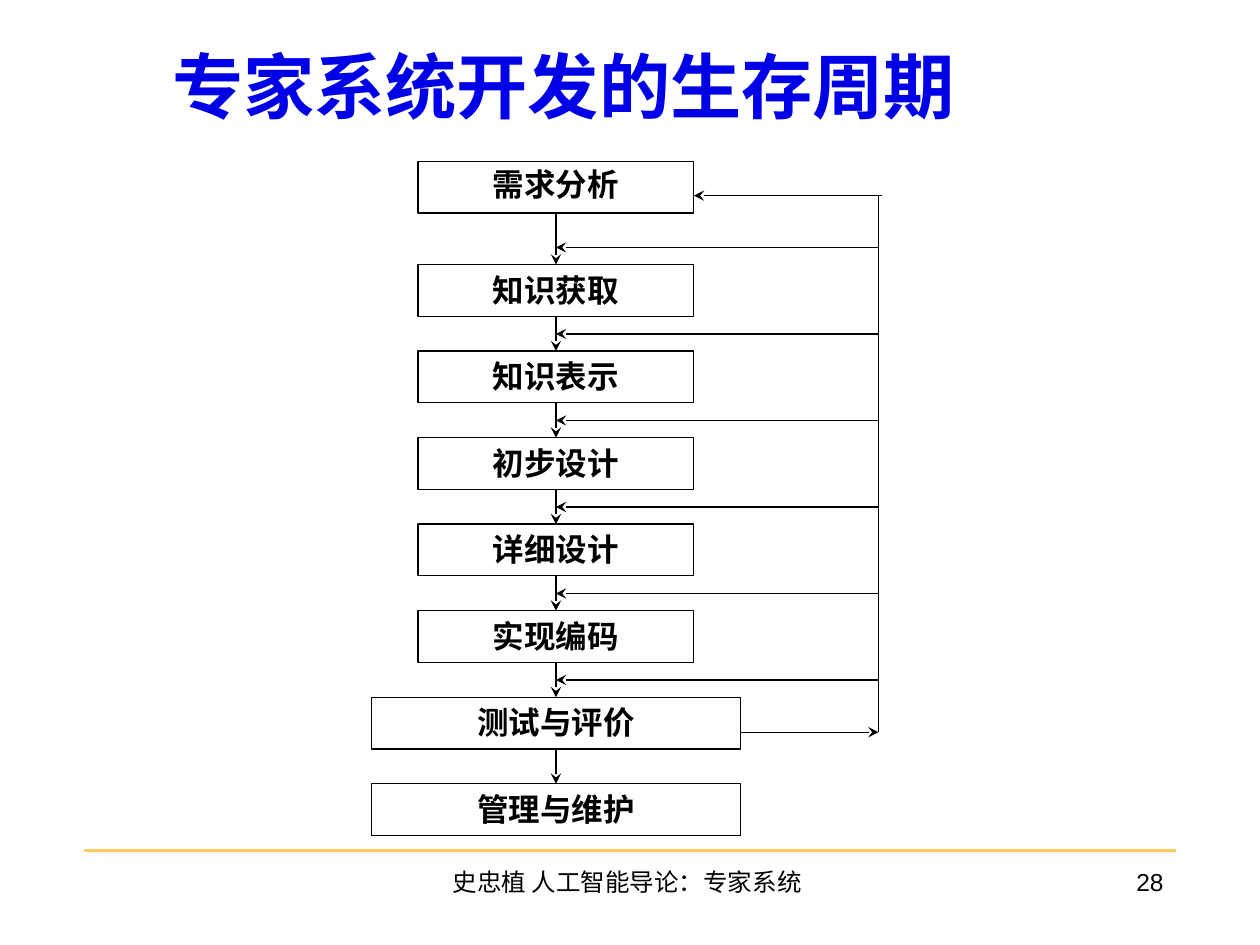
from lxml.etree import SubElement
from pptx import Presentation
from pptx.dml.color import RGBColor
from pptx.enum.shapes import MSO_CONNECTOR, MSO_SHAPE
from pptx.enum.text import MSO_ANCHOR, PP_ALIGN
from pptx.oxml.ns import qn
from pptx.util import Pt

BLACK, WHITE, BLUE, GOLD = "000000", "FFFFFF", "0000E7", "FFCC66"
CJK_FONT = "Noto Sans CJK SC"
STAGES = ["需求分析", "知识获取", "知识表示", "初步设计",
          "详细设计", "实现编码", "测试与评价", "管理与维护"]


def color(value):
    return RGBColor.from_string(value)


def add_span(para, text, size, font, fill=BLACK, bold=False):
    span = para.add_run()
    span.text = text
    span.font.size = Pt(size)
    span.font.name = font
    span.font.bold = bold
    span.font.color.rgb = color(fill)
    east_asian = SubElement(span.font._element, qn("a:ea"))
    east_asian.set("typeface", CJK_FONT)


def add_text_box(page, left, top, width, height, anchor, align):
    """Add a wrapping text box and return its first paragraph."""
    box = page.shapes.add_textbox(Pt(left), Pt(top), Pt(width), Pt(height))
    box.text_frame.word_wrap = True
    box.text_frame.vertical_anchor = anchor
    para = box.text_frame.paragraphs[0]
    para.alignment = align
    return para


def add_line(page, x1, y1, x2, y2, stroke=BLACK, weight=0.75, arrow=False):
    line = page.shapes.add_connector(
        MSO_CONNECTOR.STRAIGHT, Pt(x1), Pt(y1), Pt(x2), Pt(y2))
    line.line.color.rgb = color(stroke)
    line.line.width = Pt(weight)
    if arrow:
        SubElement(line.line._get_or_add_ln(), qn("a:tailEnd")).set("type", "stealth")
    SubElement(line._element.spPr, qn("a:effectLst"))
    return line


def add_stage(page, text, left, top, width, height):
    box = page.shapes.add_shape(
        MSO_SHAPE.RECTANGLE, Pt(left), Pt(top), Pt(width), Pt(height))
    box.shadow.inherit = False
    box.fill.solid()
    box.fill.fore_color.rgb = color(WHITE)
    box.line.color.rgb = color(BLACK)
    box.line.width = Pt(0.75)
    box.text_frame.word_wrap = True
    box.text_frame.vertical_anchor = MSO_ANCHOR.TOP
    para = box.text_frame.paragraphs[0]
    para.alignment = PP_ALIGN.CENTER
    add_span(para, text, 18, "Times New Roman", bold=True)
    return box


def add_title(page, left, top, width, height):
    para = add_text_box(page, left, top, width, height,
                        MSO_ANCHOR.BOTTOM, PP_ALIGN.LEFT)
    para.line_spacing = 0.9
    add_span(para, " ", 40.7, "Times New Roman", BLUE, True)
    add_span(para, "专家系统开发的生存周期", 40.7, CJK_FONT, BLUE, True)


def add_life_cycle(page, left, top, width):
    """Draw the stages, the steps between them and the feedback loop."""
    height, step, first_step = 29.6, 49.44, 59
    wide, narrow = 211, 157.6
    center = left + wide / 2
    rail = left + width
    tops = [top] + [top + first_step + step * i for i in range(len(STAGES) - 1)]

    # Stages: the last two are wider
    boxes = []
    for i, (text, y) in enumerate(zip(STAGES, tops)):
        box_width = wide if i >= len(STAGES) - 2 else narrow
        boxes.append(add_stage(page, text, center - box_width / 2, y,
                               box_width, height))
    boxes[0].text_frame.paragraphs[0].line_spacing = 0.96

    # Steps down from stage to stage
    for upper, lower, y in zip(boxes, boxes[1:], tops):
        arrow = add_line(page, center, y + height, center, y + first_step,
                         arrow=True)
        arrow.begin_connect(upper, 2)
        arrow.end_connect(lower, 0)

    # Feedback from testing, up the rail and back into each step
    loop_top, loop_bottom = top + 19.6, tops[-2] + 20
    add_line(page, center + wide / 2, loop_bottom, rail, loop_bottom, arrow=True)
    add_line(page, rail, loop_bottom, rail, loop_top)
    add_line(page, rail + 2, loop_top, center + narrow / 2, loop_top, arrow=True)
    for y in tops[1:-1]:
        add_line(page, rail, y - 9.8, center, y - 9.8, arrow=True)


def add_footer(page, left, top, width):
    right = left + width
    add_line(page, left, top, right, top, GOLD, 1.5)
    para = add_text_box(page, left + 198, top + 6, 228, 36,
                        MSO_ANCHOR.TOP, PP_ALIGN.CENTER)
    add_span(para, "史忠植 人工智能导论：专家系统 ", 14, "Arial")
    para = add_text_box(page, right - 150, top + 6, 150, 36,
                        MSO_ANCHOR.TOP, PP_ALIGN.RIGHT)
    add_span(para, "28", 14, "Arial")


def main():
    deck = Presentation()
    deck.slide_width, deck.slide_height = Pt(720), Pt(540)
    page = deck.slides.add_slide(deck.slide_layouts[6])
    add_footer(page, 48, 486, 624)
    add_life_cycle(page, 212.2, 92.2, 289.8)
    add_title(page, 82, 20, 518.4, 57)
    deck.save("out.pptx")


if __name__ == "__main__":
    main()
